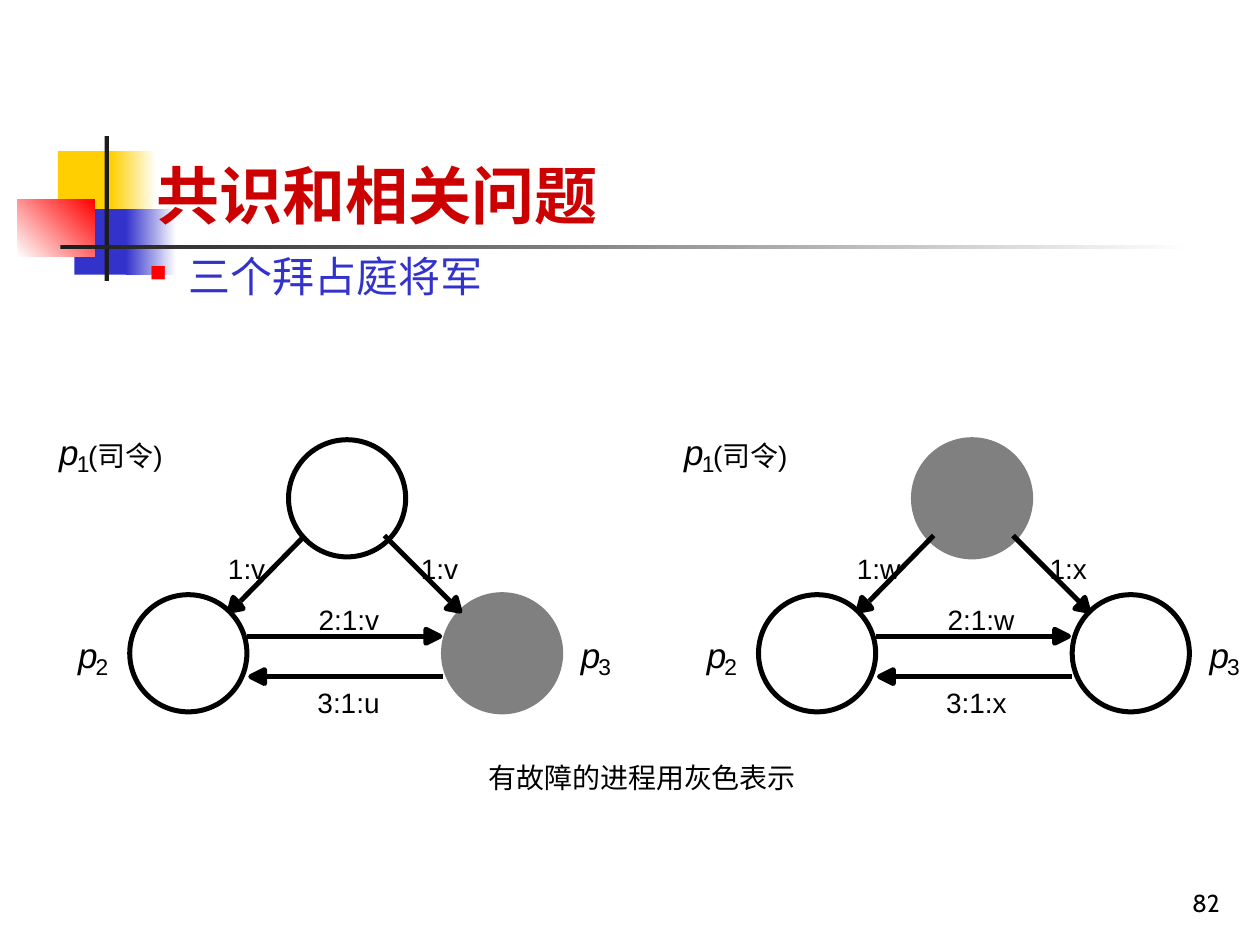
from pptx import Presentation
from pptx.dml.color import RGBColor as Rgb
from pptx.enum.shapes import MSO_CONNECTOR as Conn, MSO_SHAPE as Kind
from pptx.enum.text import MSO_ANCHOR as Anchor, MSO_AUTO_SIZE as Fit
from pptx.enum.text import PP_ALIGN as Align
from pptx.oxml.ns import qn
from pptx.util import Inches, Pt
from lxml.etree import SubElement as Sub

COLS, ROWS = 100, 75
WIDE, HIGH = Inches(10), Inches(7.5)
BLACK, WHITE, GRAY = "000000", "FFFFFF", "808080"
GOLD, BLUE, RED, DARK = "FFCF01", "3333CC", "FF0000", "1C1C1C"
HAN = "Noto Sans CJK JP"
DISC, PEN = 9.3, 2.86
RIGHT = [(-1.1, -0.55), (0, 0), (-1.1, 0.55)]
LEFT = [(1.1, -0.55), (0, 0), (1.1, 0.55)]
DOWN_L = [(0.9, -0.5), (1.1, -0.2), (0, 0), (0.3, -1.1)]
DOWN_R = [(-0.8, -0.5), (-0.3, -1.1), (0, 0), (-1.1, -0.2)]


def col(n):
    return round(WIDE * n / COLS)


def row(n):
    return round(HIGH * n / ROWS)


def area(x, y, w, h):
    return col(x), row(y), col(w), row(h)


def hue(code):
    return Rgb.from_string(code)


def paint(shape, fill, line=None):
    shape.shadow.inherit = False
    shape.fill.solid()
    shape.fill.fore_color.rgb = hue(fill)
    if line:
        shape.line.color.rgb = hue(line)
        shape.line.width = Pt(PEN)
    else:
        shape.line.fill.background()


def block(slide, box, first, last=None, angle=0):
    shape = slide.shapes.add_shape(Kind.RECTANGLE, *area(*box))
    paint(shape, first)
    if last:
        shape.fill.gradient()
        shape.fill.gradient_angle = angle
        for stop, code in zip(shape.fill.gradient_stops, (first, last)):
            stop.color.rgb = hue(code)


def disc(slide, x, y, bad):
    shape = slide.shapes.add_shape(Kind.OVAL, *area(x, y, DISC, DISC))
    paint(shape, GRAY if bad else WHITE, GRAY if bad else BLACK)


def arrow(slide, start, end, tip, head):
    spots = [(col(tip[0] + x), row(tip[1] + y)) for x, y in head]
    path = slide.shapes.build_freeform(*spots[0])
    path.add_line_segments(spots[1:], close=True)
    paint(path.convert_to_shape(), BLACK, BLACK)
    line = slide.shapes.add_connector(
        Conn.STRAIGHT, col(start[0]), row(start[1]), col(end[0]), row(end[1]))
    line.line.color.rgb = hue(BLACK)
    line.line.width = Pt(PEN)
    Sub(line._element.spPr, qn("a:effectLst"))


def write(slide, box, text, size, font="Arial", code=BLACK, bold=False,
          slant=False, wrap=False, pad=0, anchor=Anchor.TOP, align=Align.LEFT):
    frame = slide.shapes.add_textbox(*area(*box)).text_frame
    frame.word_wrap = wrap
    frame.auto_size = Fit.NONE if wrap else Fit.SHAPE_TO_FIT_TEXT
    frame.vertical_anchor = anchor
    frame.margin_left = frame.margin_right = Inches(pad)
    frame.margin_top = frame.margin_bottom = Inches(pad / 2)
    para = frame.paragraphs[0]
    para.alignment = align
    run = para.add_run()
    run.text = text
    run.font.size = Pt(size)
    run.font.name = font
    run.font.bold = bold
    run.font.italic = slant
    run.font.color.rgb = hue(code)
    Sub(run._r.get_or_add_rPr(), qn("a:ea"), typeface=HAN)
    return para


def bullet(para):
    para.space_before = Pt(6)
    props = para._p.get_or_add_pPr()
    props.set("marL", str(Inches(0.81)))
    props.set("indent", str(Inches(-0.31)))
    Sub(Sub(props, qn("a:buClr")), qn("a:srgbClr"), val=RED)
    Sub(props, qn("a:buSzPct"), val="55000")
    Sub(props, qn("a:buChar"), char="■")


def name(slide, x, y, digit):
    write(slide, (x, y, 1.6, 3.3), "p", 20, slant=True)
    write(slide, (x + 1.4, y + 1.5, 1, 2.2), digit, 13)


def decor(slide):
    block(slide, (4.6, 12, 4.8, 5.2), GOLD)
    block(slide, (8.8, 12, 3.6, 5.2), GOLD, WHITE)
    block(slide, (5.9, 16.6, 4.6, 5.2), BLUE)
    block(slide, (10, 16.6, 4, 5.2), BLUE, WHITE)
    block(slide, (1.4, 15.8, 6.1, 4.6), WHITE, RED, 45)
    block(slide, (8.3, 10.8, 0.35, 11.5), DARK)
    block(slide, (4.8, 19.45, 90, 0.35), DARK, WHITE)


def panel(slide, x, top, bad, notes):
    name(slide, top + 4.7, 34.2, "1")
    write(slide, (top + 7, 34.8, 7, 2.7), "(司令)", 16)
    name(slide, x + 6.2, 50.3, "2")
    name(slide, x + 46.1, 50.3, "3")
    spots = [(top + 22.9, 34.9), (x + 10.3, 47.2), (x + 35.2, 47.2)]
    for num, spot in enumerate(spots, 1):
        disc(slide, *spot, num == bad)
    for start, end, tip, head in (
            ((24.2, 42.5), (19.1, 47.7), (18.2, 48.5), DOWN_L),
            ((30.5, 42.5), (35.7, 47.7), (36.5, 48.5), DOWN_R),
            ((19.6, 50.5), (33.8, 50.5), (34.9, 50.5), RIGHT),
            ((35.2, 53.7), (21, 53.7), (19.9, 53.7), LEFT)):
        arrow(slide, *[(x + a, b) for a, b in (start, end, tip)], head)
    places = [(18.1, 43.8, 3), (33.4, 43.8, 3),
              (25.3, 47.8, 5), (25.2, 54.4, 5)]
    for (left, y, w), text in zip(places, notes):
        more = 0.5 if "w" in text else 0
        write(slide, (x + left, y, w + more, 2.7), text, 16)


def main():
    deck = Presentation()
    deck.slide_width, deck.slide_height = WIDE, HIGH
    slide = deck.slides.add_slide(deck.slide_layouts[6])
    decor(slide)
    write(slide, (77, 68.3, 20.8, 5), "82", 14, "Cabin", wrap=True,
          pad=0.1, anchor=Anchor.BOTTOM, align=Align.RIGHT)
    write(slide, (11.4, 9.1, 74, 9.8), "共识和相关问题", 36, HAN, "CC0000",
          bold=True, wrap=True, pad=0.1, anchor=Anchor.BOTTOM)
    bullet(write(slide, (5.9, 19.4, 90.6, 52), "三个拜占庭将军", 24,
                 "Times New Roman", BLUE, wrap=True, pad=0.1))
    panel(slide, 0, 0, 3, ("1:v", "1:v", "2:1:v", "3:1:u"))
    panel(slide, 49.9, 49.6, 1, ("1:w", "1:x", "2:1:w", "3:1:x"))
    write(slide, (38.8, 60.4, 24.4, 2.7), "有故障的进程用灰色表示", 16)
    deck.save("out.pptx")


if __name__ == "__main__":
    main()
